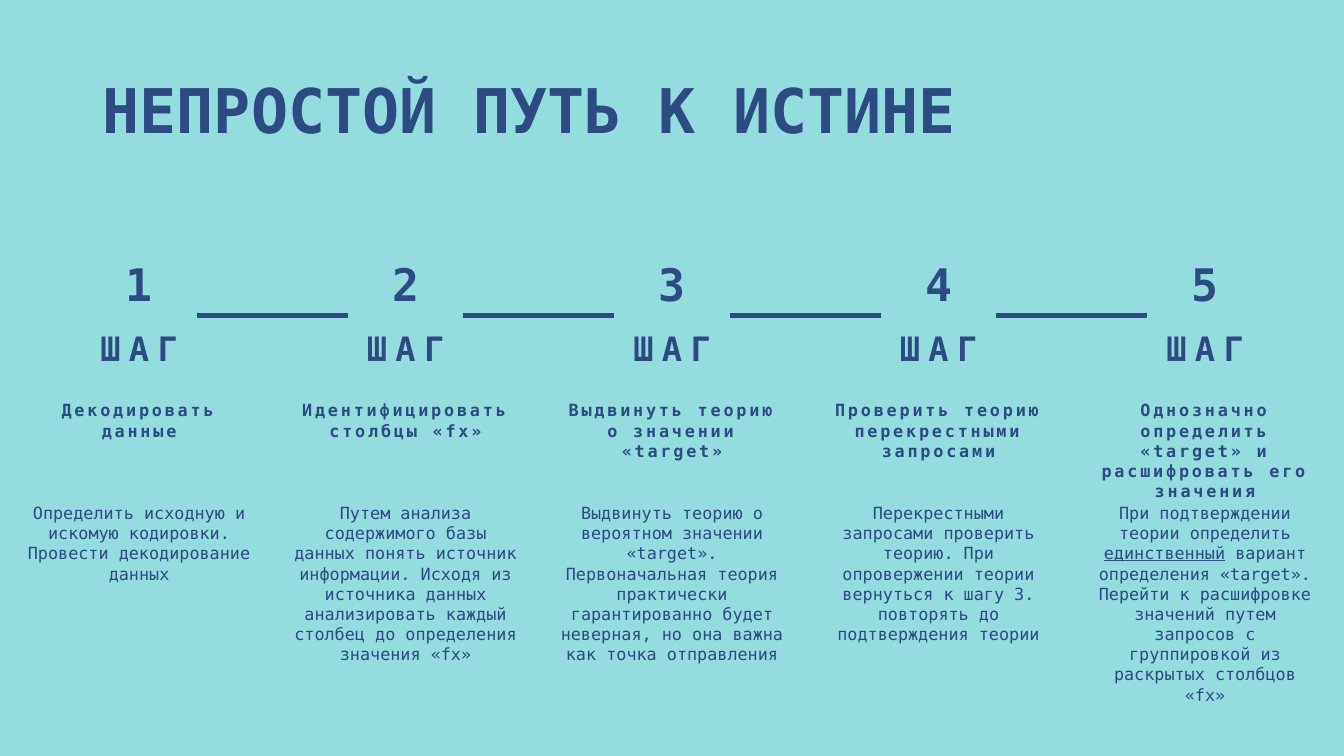
from lxml import etree
from pptx import Presentation
from pptx.dml.color import RGBColor as Rgb
from pptx.enum.shapes import MSO_CONNECTOR as Link
from pptx.enum.text import MSO_ANCHOR as Anchor, MSO_AUTO_SIZE as Fit, PP_ALIGN as Align
from pptx.oxml.ns import qn
from pptx.util import Inches as In, Pt

HUE = {"back": "94DDDE", "ink": "2B4B82"}
FONT = "DejaVu Sans Mono"
WIDE, HIGH = 13.33, 7.5
LEFT, TOP, STEP, COL = 0.14, 2.5, 2.643, 2.48  # grid of step columns

# Head, parts of the body text (odd parts are underlined)
STEPS = [
    ("Декодировать данные",
     ["Определить исходную и искомую кодировки. Провести декодирование данных"]),
    ("Идентифицировать столбцы «fx»",
     ["Путем анализа содержимого базы данных понять источник информации. "
      "Исходя из источника данных анализировать каждый столбец до "
      "определения значения «fx»"]),
    ("Выдвинуть теорию о значении «target»",
     ["Выдвинуть теорию о вероятном значении «target». Первоначальная теория "
      "практически гарантированно будет неверная, но она важна как точка "
      "отправления"]),
    ("Проверить теорию перекрестными запросами",
     ["Перекрестными запросами проверить теорию. При опровержении теории "
      "вернуться к шагу 3. повторять до подтверждения теории"]),
    ("Однозначно определить «target» и расшифровать его значения",
     ["При подтверждении теории определить ", "единственный",
      " вариант определения «target». Перейти к расшифровке значений путем "
      "запросов с группировкой из раскрытых столбцов «fx»"]),
]


def style(run, size, bold=False, gap=0):
    font = run.font
    font.name, font.size, font.bold = FONT, Pt(size), bold
    font.color.rgb = Rgb.from_string(HUE["ink"])
    if gap:
        run._r.get_or_add_rPr().set("spc", str(gap * 100))


def frame(slide, x, y, w, h):
    text = slide.shapes.add_textbox(In(x), In(y), In(w), In(h)).text_frame
    text.word_wrap = True
    return text


def label(slide, box, lines, bold=False, gap=0):
    """Centred text; each line is (parts, size, space after)."""
    text = frame(slide, *box)
    text.auto_size = Fit.SHAPE_TO_FIT_TEXT
    for i, (parts, size, after) in enumerate(lines):
        para = text.add_paragraph() if i else text.paragraphs[0]
        para.alignment, para.space_after = Align.CENTER, Pt(after)
        for j, part in enumerate(parts):
            run = para.add_run()
            run.text = part
            style(run, size, bold, gap)
            if j % 2:
                run.font.underline = True


def title(slide, x, y, w, h):
    text = frame(slide, x, y, w, h)
    text.vertical_anchor = Anchor.MIDDLE
    text.text = "НЕПРОСТОЙ ПУТЬ К ИСТИНЕ"
    para = text.paragraphs[0]
    para.line_spacing = 0.9
    style(para.runs[0], 44, True)


def column(slide, x, y, w, num, head, body):
    # Number, head and body, top to bottom
    side = 1.33
    label(slide, (x + (w - side) / 2, y, side, 1.25),
          [([str(num)], 32, 12), (["ШАГ"], 24, 18)], True, 6)
    label(slide, (x, y + 1.42, w, 0.5), [([head], 12, 12)], True, 2)
    label(slide, (x, y + 2.44, w, 1.5), [(body, 12, 12)])


def link(slide, x, y, w):
    line = slide.shapes.add_connector(Link.STRAIGHT, In(x), In(y), In(x + w), In(y))
    line.line.color.rgb = Rgb.from_string(HUE["ink"])
    line.line.width = Pt(3)
    etree.SubElement(line._element.spPr, qn("a:effectLst"))


def main():
    deck = Presentation()
    deck.slide_width, deck.slide_height = In(WIDE), In(HIGH)
    slide = deck.slides.add_slide(deck.slide_layouts[6])
    fill = slide.background.fill
    fill.solid()
    fill.fore_color.rgb = Rgb.from_string(HUE["back"])

    title(slide, 0.92, 0.4, 11.5, 1.45)
    for i, (head, body) in enumerate(STEPS):
        x = LEFT + i * STEP
        column(slide, x, TOP, COL, i + 1, head, body)
        if i < len(STEPS) - 1:
            link(slide, x + 1.81, TOP + 0.63, 1.5)
    deck.save("out.pptx")


if __name__ == "__main__":
    main()
